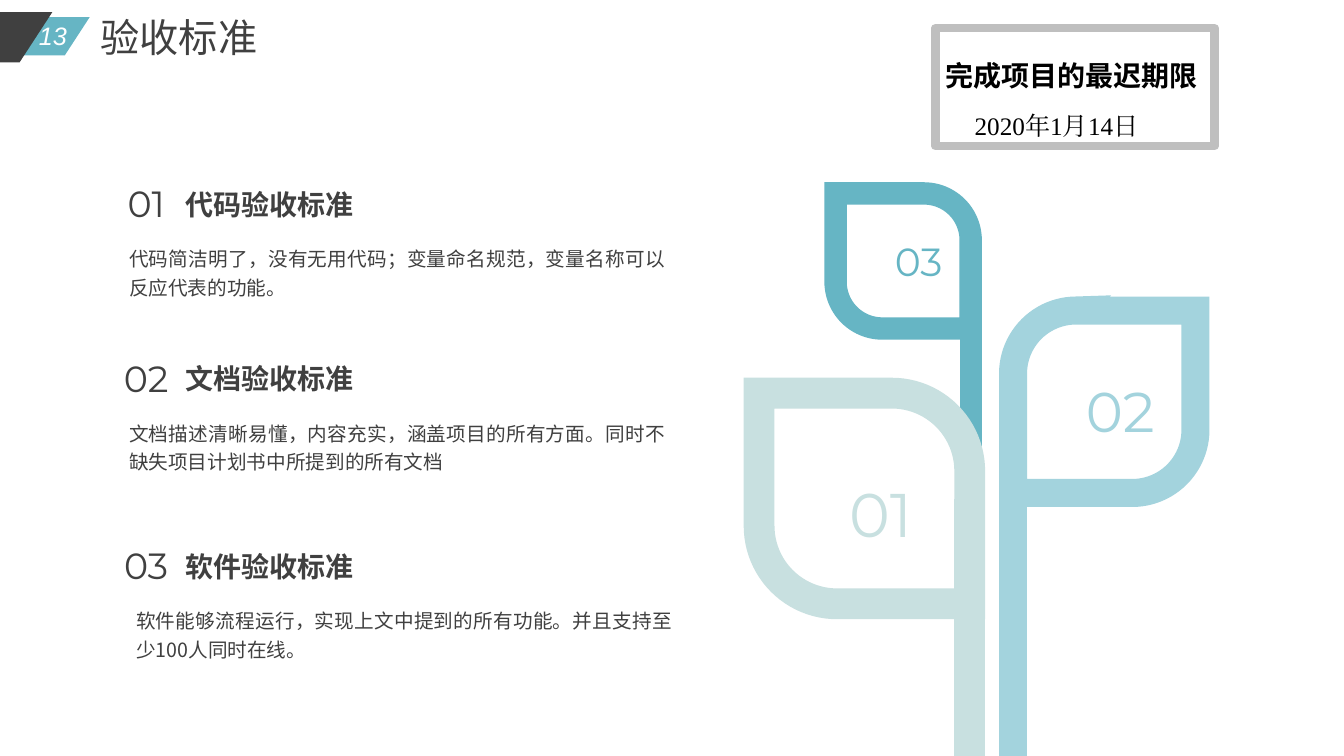
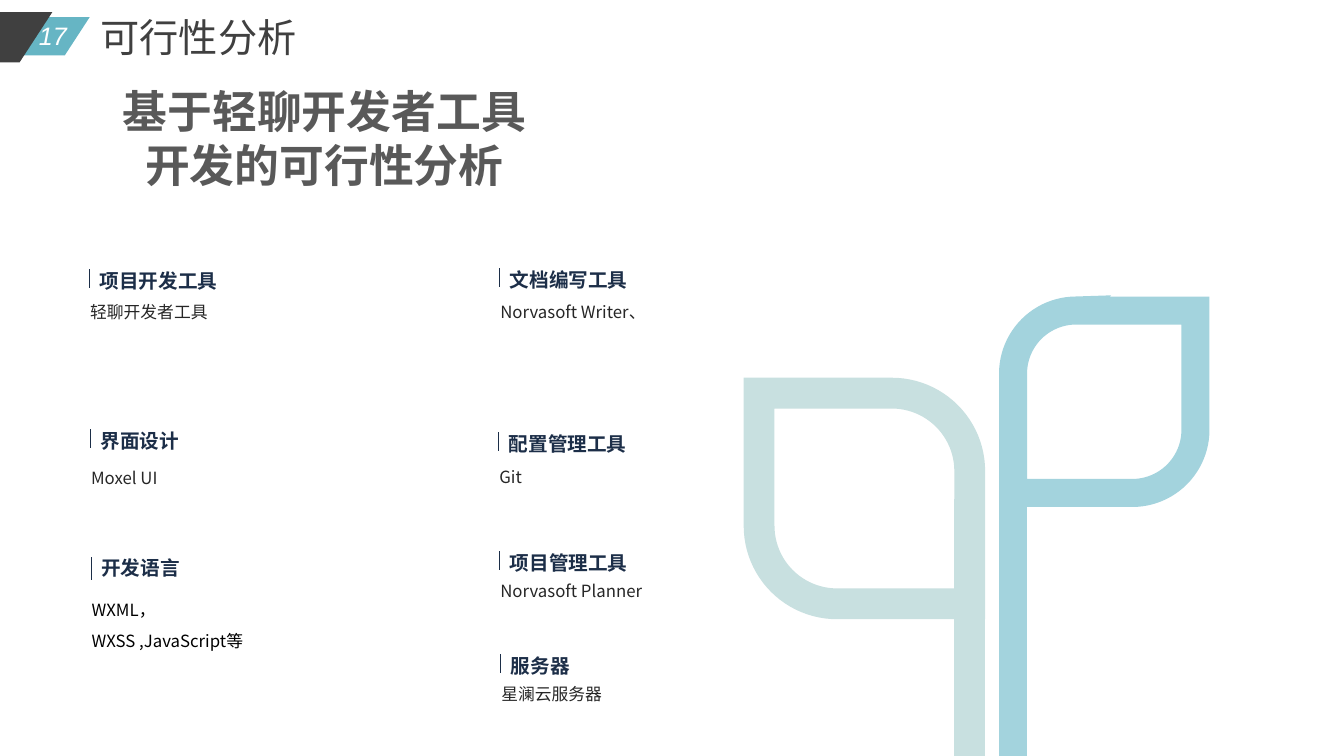
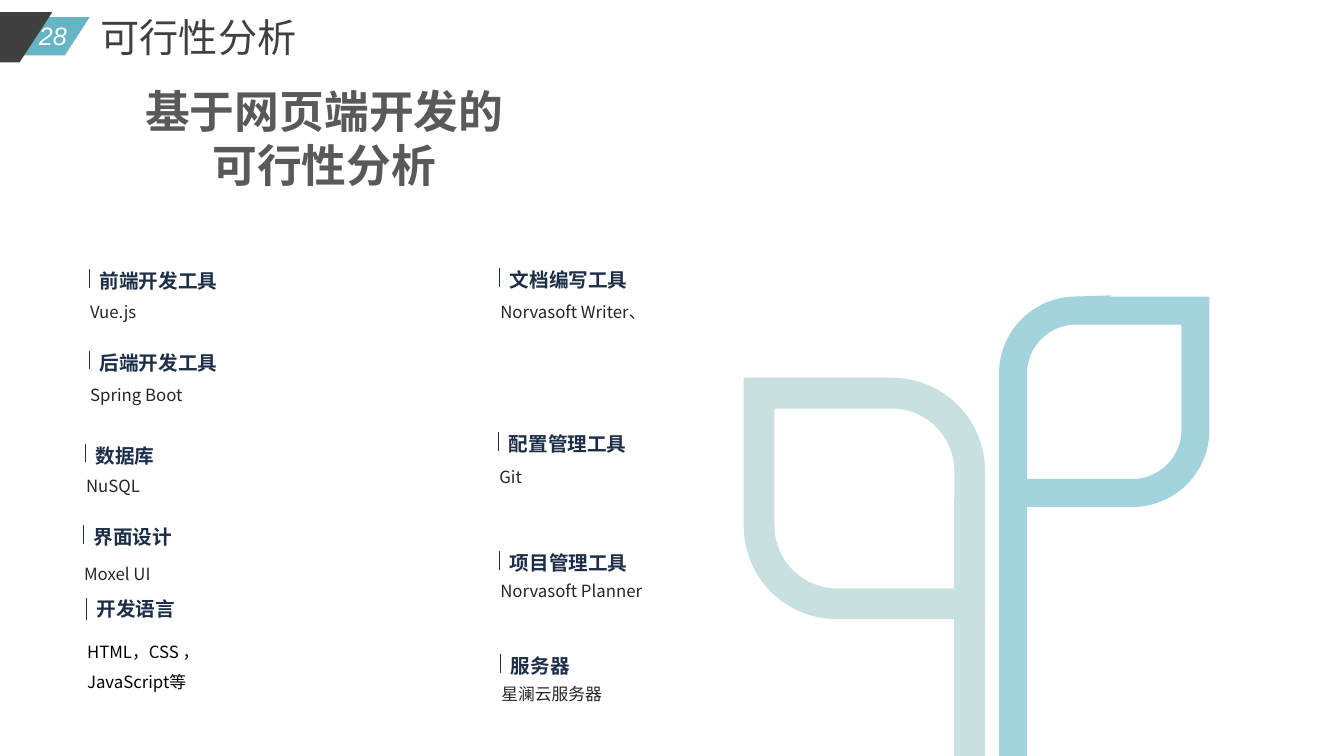
from lxml.etree import SubElement
from pptx import Presentation
from pptx.dml.color import RGBColor
from pptx.enum.lang import MSO_LANGUAGE_ID
from pptx.enum.shapes import MSO_CONNECTOR, MSO_SHAPE
from pptx.enum.text import MSO_ANCHOR, PP_ALIGN
from pptx.oxml.ns import qn
from pptx.util import Pt

COLORS = {
    "teal": "66B5C4", "sky": "A3D3DD", "mint": "C8E0E0", "charcoal": "404040",
    "heading": "595959", "navy": "1C2E48", "body": "262626", "black": "000000",
    "white": "FFFFFF", "frame": "BFBFBF",
}
SANS = "Noto Sans CJK SC"
SLIDE_WIDTH, SLIDE_HEIGHT = 960, 540

LEAVES = {
    "01": dict(box=(542.2, 280.8, 150.5), color="mint", weight=22, bend=0.37,
               stem=(356.4, SLIDE_HEIGHT), label=(54, 59, 65.5), size=44),
    "02": dict(box=(723.6, 221.8, 130.3), color="sky", weight=20, bend=0.346,
               stem=(326.2, SLIDE_HEIGHT), label=(44.6, 47.5, 64), size=40),
    "03": dict(box=(596.9, 138.2, 96.5), color="teal", weight=16, bend=0.346,
               stem=(221.8, 499), label=(27.3, 31, 64), size=28),
}

CRITERIA = [
    ("01", 131.8, 92.2, "代码验收标准",
     "代码简洁明了，没有无用代码；变量命名规范，变量名称可以反应代表的功能。"),
    ("02", 256.3, 92.2, "文档验收标准",
     "文档描述清晰易懂，内容充实，涵盖项目的所有方面。同时不缺失项目计划书中所提到的所有文档"),
    ("03", 390.2, 97.2, "软件验收标准",
     "软件能够流程运行，实现上文中提到的所有功能。并且支持至少100人同时在线。"),
]

SHARED_TOOLS = [
    (357.1, 187.9, 16.6, "文档编写工具", "Norvasoft Writer、"),
    (356.4, 305.3, 17.3, "配置管理工具", "Git"),
    (357.1, 390.2, 13.7, "项目管理工具", "Norvasoft Planner"),
    (357.8, 463.7, 13.7, "服务器", "星澜云服务器"),
]
MINI_PROGRAM_TOOLS = [
    (64.1, 188.6, 15.9, "项目开发工具", "轻聊开发者工具"),
    (64.8, 303.1, 20.2, "界面设计", "Moxel UI"),
]
WEB_TOOLS = [
    (64.1, 188.6, 15.9, "前端开发工具", "Vue.js"),
    (64.1, 247, 16.5, "后端开发工具", "Spring Boot"),
    (61.2, 313.2, 15.8, "数据库", "NuSQL"),
    (59.8, 371.5, 20.2, "界面设计", "Moxel UI"),
]


def rgb(name):
    return RGBColor.from_string(COLORS[name])


def points(*values):
    return [Pt(value) for value in values]


def format_paragraph(paragraph, font, size, color, bold=False, italic=False,
                     align=PP_ALIGN.LEFT, spacing=None):
    paragraph.alignment = align
    if spacing:
        paragraph.line_spacing = spacing
    for run in paragraph.runs:
        run.font.name = font
        run.font.size = Pt(size)
        run.font.bold = bold
        run.font.italic = italic
        run.font.color.rgb = rgb(color)
        run.font.language_id = MSO_LANGUAGE_ID.SIMPLIFIED_CHINESE
        SubElement(run.font._element, qn("a:ea"), typeface=font)


def add_text(slide, box, text, font, size, color, inset=True, wrap=True, **style):
    text_frame = slide.shapes.add_textbox(*points(*box)).text_frame
    text_frame.word_wrap = wrap
    if not inset:
        text_frame.margin_left = text_frame.margin_right = 0
        text_frame.margin_top = text_frame.margin_bottom = 0
    text_frame.text = text
    for paragraph in text_frame.paragraphs:
        format_paragraph(paragraph, font, size, color, **style)


def add_outline(slide, kind, box, color, weight):
    shape = slide.shapes.add_shape(kind, *points(*box))
    shape.shadow.inherit = False
    shape.fill.background()
    shape.line.color.rgb = rgb(color)
    shape.line.width = Pt(weight)
    return shape


def add_vertical_line(slide, x, top, bottom, color, weight):
    line = slide.shapes.add_connector(MSO_CONNECTOR.STRAIGHT, *points(x, top, x, bottom))
    line.line.color.rgb = rgb(color)
    line.line.width = Pt(weight)
    SubElement(line._element.spPr, qn("a:effectLst"))


def add_header(slide, number, title):
    for box, color in [((-79.2, 12.2, 143.3, 27.4), "teal"),
                       ((-149.8, 8.6, 187.2, 36), "charcoal")]:
        band = slide.shapes.add_shape(MSO_SHAPE.PARALLELOGRAM, *points(*box))
        band.adjustments[0] = 0.652
        band.rotation = 180
        band.shadow.inherit = False
        band.fill.solid()
        band.fill.fore_color.rgb = rgb(color)
        band.line.fill.background()
    add_text(slide, (19.4, 10.8, 36.7, 28.8), number, "Arial", 18, "white",
             wrap=False, italic=True, align=PP_ALIGN.CENTER)
    add_text(slide, (64.8, 2.9, len(title) * 28 + 15, 43.7), title, SANS, 28,
             "charcoal", wrap=False, spacing=Pt(36.5))


def add_leaf(slide, number, labelled=False):
    leaf = LEAVES[number]
    left, top, side = leaf["box"]
    faces_right = number == "02"
    outline = add_outline(slide, MSO_SHAPE.ROUND_2_DIAG_RECTANGLE,
                          (left, top, side, side), leaf["color"], leaf["weight"])
    outline.adjustments[0] = leaf["bend"] if faces_right else 0
    outline.adjustments[1] = 0 if faces_right else leaf["bend"]
    SubElement(outline.line._get_or_add_ln(), qn("a:miter"), lim="800000")
    add_vertical_line(slide, left if faces_right else left + side, *leaf["stem"],
                      leaf["color"], leaf["weight"])
    if labelled:
        shift_x, shift_y, width = leaf["label"]
        add_text(slide, (left + shift_x, top + shift_y, width, leaf["size"] * 1.22),
                 number, "Montserrat", leaf["size"], leaf["color"], inset=False,
                 align=PP_ALIGN.CENTER)


def add_criterion(slide, number, top, body_left, title, body):
    add_text(slide, (body_left, top + 41.2, 383, 41), body, SANS, 14, "charcoal",
             inset=False, align=PP_ALIGN.JUSTIFY, spacing=Pt(20.5))
    add_text(slide, (132.5, top, 156.2, 26), title, SANS, 20, "charcoal",
             inset=False, bold=True, spacing=Pt(26))
    add_text(slide, (83.5, top - 2.2, 41.8, 31.7), number, "Montserrat", 26,
             "charcoal", inset=False, align=PP_ALIGN.CENTER)


def add_deadline(slide, box):
    frame = add_outline(slide, MSO_SHAPE.RECTANGLE, box, "frame", 6)
    text_frame = frame.text_frame
    text_frame.word_wrap = True
    text_frame.vertical_anchor = MSO_ANCHOR.MIDDLE
    text_frame.text = "完成项目的最迟期限\n2020年1月14日"
    caption, date = text_frame.paragraphs
    format_paragraph(caption, "Arial", 20, "black", bold=True,
                     align=PP_ALIGN.JUSTIFY, spacing=1.73)
    caption.space_before = caption.space_after = Pt(13)
    format_paragraph(date, "Times New Roman", 18, "black", align=PP_ALIGN.JUSTIFY)
    date._element.get_or_add_pPr().set("indent", str(Pt(20.9)))


def add_tool(slide, left, top, drop, title, detail, color="body", mark=(3.6, 13.2)):
    add_text(slide, (left - 6.8, top + drop, 146, 27.4), detail, SANS, 12, color,
             spacing=Pt(21.9))
    add_text(slide, (left, top, 103, 24.5), title, "Calibri", 14, "navy",
             wrap=False, bold=True)
    mark_top = top + mark[0]
    add_vertical_line(slide, left, mark_top, mark_top + mark[1], "navy", 0.75)


def build_criteria_slide(slide):
    add_header(slide, "13", "验收标准")
    for criterion in CRITERIA:
        add_criterion(slide, *criterion)
    for number in ("02", "03", "01"):
        add_leaf(slide, number, labelled=True)
    add_deadline(slide, (668.2, 20.2, 199.4, 84.2))


def build_feasibility_slide(slide, number, heading, tools, languages):
    add_header(slide, number, "可行性分析")
    for leaf in ("02", "01"):
        add_leaf(slide, leaf)
    add_text(slide, (-45.4, 56.2, 554.4, 85), heading, "Arial", 32, "heading",
             bold=True, align=PP_ALIGN.CENTER)
    for tool in tools + SHARED_TOOLS:
        add_tool(slide, *tool)
    add_tool(slide, *languages, color="black", mark=(4.4, 16))


def main():
    presentation = Presentation()
    presentation.slide_width, presentation.slide_height = points(SLIDE_WIDTH, SLIDE_HEIGHT)
    blank = presentation.slide_layouts[6]
    build_criteria_slide(presentation.slides.add_slide(blank))
    build_feasibility_slide(
        presentation.slides.add_slide(blank), "17",
        "基于轻聊开发者工具\n开发的可行性分析", MINI_PROGRAM_TOOLS,
        (65.2, 393.8, 23.8, "开发语言", "WXML，WXSS ,JavaScript等"))
    build_feasibility_slide(
        presentation.slides.add_slide(blank), "28",
        "基于网页端开发的\n可行性分析", WEB_TOOLS,
        (61.9, 422.6, 24.5, "开发语言", "HTML，CSS ，JavaScript等"))
    presentation.save("out.pptx")


if __name__ == "__main__":
    main()
